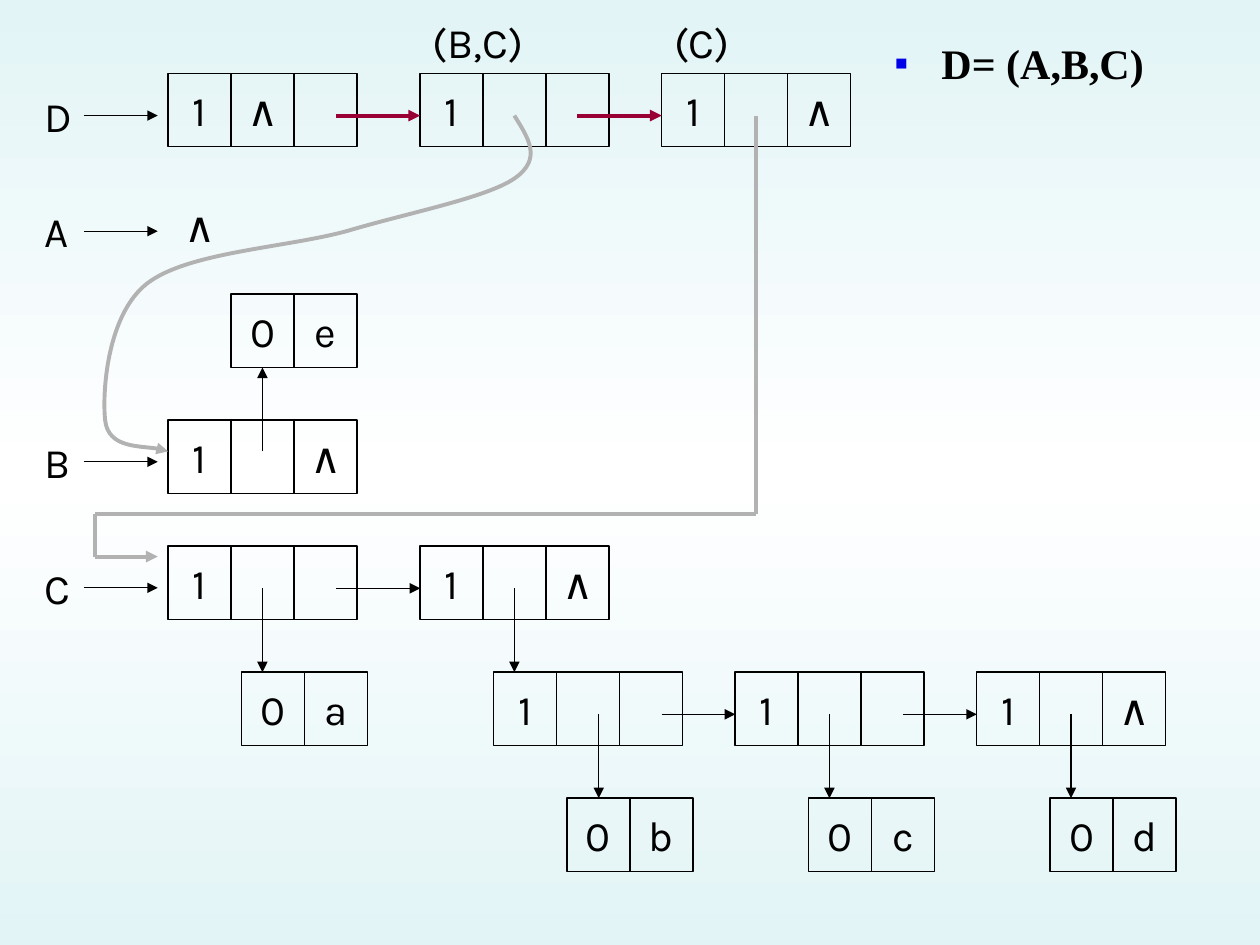
"""Linked storage diagram of the generalized lists D, A, B and C."""
from copy import deepcopy

from lxml import etree
from pptx import Presentation
from pptx.dml.color import RGBColor
from pptx.enum.shapes import MSO_CONNECTOR, MSO_SHAPE
from pptx.enum.text import MSO_ANCHOR, PP_ALIGN
from pptx.oxml.ns import qn
from pptx.util import Cm, Pt

RECTANGLE = MSO_SHAPE.RECTANGLE
STRAIGHT = MSO_CONNECTOR.STRAIGHT
MIDDLE = MSO_ANCHOR.MIDDLE
CENTER = PP_ALIGN.CENTER

BLACK = RGBColor(0x00, 0x00, 0x00)
CRIMSON = RGBColor(0x99, 0x00, 0x33)
GRAY = RGBColor(0xB2, 0xB2, 0xB2)
BLUE = RGBColor(0x00, 0x00, 0xE8)
PALE = RGBColor(0xE2, 0xF4, 0xF6)
WHITE = RGBColor(0xFF, 0xFF, 0xFF)

CELL_W, CELL_H = 1.27, 1.48
POINTER_DY = 0.85
THIN, THICK = 0.75, 2.25
NIL = "∧"

BACKDROP = [(0, PALE), (0.5, WHITE), (1, PALE)]
DEFINITION = "D= (A,B,C)"

LABELS = [
    ("D", 0.64, 1.69, 1.06), ("A", 0.64, 4.02, 1.06),
    ("B", 0.64, 8.68, 1.06), ("C", 0.64, 11.22, 1.06),
    ("(B,C)", 8.47, 0.21, 2.75), ("(C)", 13.34, 0.21, 2.75),
]
HEAD_POINTERS_Y = [2.33, 4.66, 9.31, 11.85]

NODES = [
    (3.39, 1.48, ["1", NIL, ""]),
    (8.47, 1.48, ["1", "", ""]),
    (13.34, 1.48, ["1", "", NIL]),
    (4.66, 5.93, ["0", "e"]),
    (3.39, 8.47, ["1", "", NIL]),
    (3.39, 11.01, ["1", "", ""]),
    (8.47, 11.01, ["1", "", NIL]),
    (4.87, 13.55, ["0", "a"]),
    (9.95, 13.55, ["1", "", ""]),
    (14.82, 13.55, ["1", "", ""]),
    (19.69, 13.55, ["1", "", NIL]),
    (11.43, 16.09, ["0", "b"]),
    (16.3, 16.09, ["0", "c"]),
    (21.17, 16.09, ["0", "d"]),
]

NEXT_POINTERS = [
    (6.77, 8.47, 1.48, CRIMSON, THICK),
    (11.64, 13.34, 1.48, CRIMSON, THICK),
    (6.77, 8.47, 11.01, BLACK, THIN),
    (13.34, 14.82, 13.55, BLACK, THIN),
    (18.2, 19.69, 13.55, BLACK, THIN),
]
CHILD_POINTERS = [
    (5.29, 9.1, 7.41),
    (5.29, 11.86, 13.55), (10.37, 11.86, 13.55),
    (12.07, 14.4, 16.09), (16.72, 14.4, 16.09), (21.59, 14.4, 16.09),
]
ROUTE_TO_C = [(15.24, 2.33), (15.24, 10.37), (1.91, 10.37), (1.91, 11.22), (3.18, 11.22)]
CURVE_TO_B = [
    (10.37, 2.33),
    (10.64, 2.77), (10.95, 3.2), (10.37, 3.6),
    (9.8, 3.99), (8.23, 4.29), (6.99, 4.66),
    (5.74, 5), (3.78, 5.08), (2.96, 5.72),
    (2.16, 6.35), (2.06, 7.9), (2.12, 8.47),
    (2.18, 9.04), (3.18, 8.99), (3.39, 9.1),
]


def add_sub(parent, tag, **attributes):
    return etree.SubElement(parent, qn(tag), attributes)


def style_line(shape, color, width, arrow):
    shape.line.color.rgb = color
    shape.line.width = Pt(width)
    if arrow:
        add_sub(shape.get_or_add_ln(), "a:tailEnd", type="triangle")


def add_line(slide, start, end, color=BLACK, width=THIN, arrow=True):
    line = slide.shapes.add_connector(STRAIGHT, *(Cm(v) for v in (*start, *end)))
    style_line(line, color, width, arrow)
    add_sub(line.element.spPr, "a:effectLst")


def write(shape, text, font_name="Karla", bold=False):
    paragraph = shape.text_frame.paragraphs[0]
    paragraph.text = text
    font = paragraph.runs[0].font
    font.name, font.size, font.bold = font_name, Pt(24), bold
    font.color.rgb = BLACK
    return paragraph


def write_centred(shape, text):
    shape.text_frame.word_wrap = False
    shape.text_frame.vertical_anchor = MIDDLE
    write(shape, text).alignment = CENTER


def add_text(slide, x, y, w, h):
    box = slide.shapes.add_textbox(Cm(x), Cm(y), Cm(w), Cm(h))
    box.text_frame.word_wrap = True
    return box


def add_node(slide, x, y, cells):
    for column, value in enumerate(cells):
        cell = slide.shapes.add_shape(
            RECTANGLE, Cm(x + column * CELL_W), Cm(y), Cm(CELL_W), Cm(CELL_H))
        cell.shadow.inherit = False
        cell.fill.background()
        style_line(cell, BLACK, THIN, False)
        if value:
            write_centred(cell, value)


def add_curve(slide, points):
    start, *controls = [(Cm(x), Cm(y)) for x, y in points]
    builder = slide.shapes.build_freeform(*start)
    builder.add_line_segments(controls, close=False)
    curve = builder.convert_to_shape()
    curve.shadow.inherit = False
    curve.fill.background()
    style_line(curve, GRAY, THICK, True)
    outline = curve.element.find(".//" + qn("a:path"))
    segments = outline.findall(qn("a:lnTo"))
    for first in range(0, len(segments), 3):
        bezier = add_sub(outline, "a:cubicBezTo")
        for segment in segments[first:first + 3]:
            bezier.append(segment[0])
            outline.remove(segment)


def add_definition(slide):
    definition = write(add_text(slide, 17.78, 0.64, 7.19, 1.91), DEFINITION, "Times New Roman", True)
    properties = definition._p.get_or_add_pPr()
    properties.set("marL", str(Cm(0.95)))
    properties.set("indent", str(Cm(-0.95)))
    add_sub(add_sub(properties, "a:buClr"), "a:srgbClr", val=str(BLUE))
    add_sub(properties, "a:buSzPct", val="95000")
    add_sub(properties, "a:buFont", typeface="Times New Roman")
    add_sub(properties, "a:buChar", char="▪")


def paint_background(slide):
    fill = slide.background.fill
    fill.gradient()
    fill.gradient_angle = 270
    stop_list = slide.element.find(".//" + qn("a:gsLst"))
    stop_list.append(deepcopy(stop_list[0]))
    for stop, (position, color) in zip(fill.gradient_stops, BACKDROP):
        stop.position = position
        stop.color.rgb = color


def main():
    deck = Presentation()
    deck.slide_width, deck.slide_height = Cm(25.4), Cm(19.05)
    slide = deck.slides.add_slide(deck.slide_layouts[6])
    paint_background(slide)
    add_definition(slide)
    for text, x, y, w in LABELS:
        write(add_text(slide, x, y, w, 1.27), text)
    write_centred(add_text(slide, 3.39, 3.81, CELL_W, CELL_H), NIL)
    for node in NODES:
        add_node(slide, *node)
    for y in HEAD_POINTERS_Y:
        add_line(slide, (1.69, y), (3.18, y))
    for x, end, row, color, width in NEXT_POINTERS:
        y = row + POINTER_DY
        add_line(slide, (x, y), (end, y), color, width)
    for x, y, end in CHILD_POINTERS:
        add_line(slide, (x, y), (x, end))
    add_curve(slide, CURVE_TO_B)
    for start, end in zip(ROUTE_TO_C, ROUTE_TO_C[1:]):
        add_line(slide, start, end, GRAY, THICK, end == ROUTE_TO_C[-1])
    deck.save("out.pptx")


if __name__ == "__main__":
    main()
